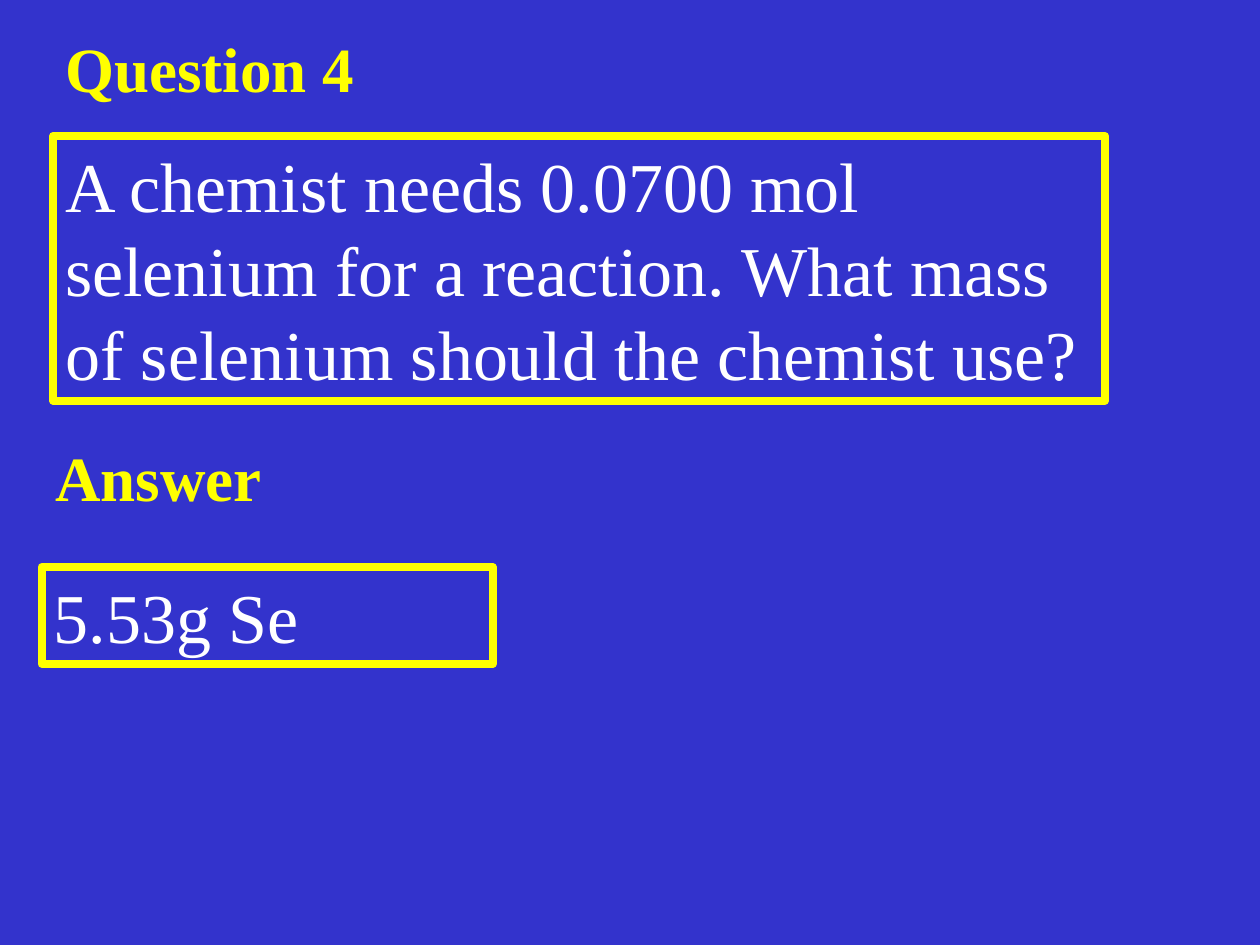
from pptx import Presentation
from pptx.dml.color import RGBColor
from pptx.enum.shapes import MSO_SHAPE
from pptx.enum.text import MSO_ANCHOR, PP_ALIGN
from pptx.util import Inches, Pt

RECTANGLE = MSO_SHAPE.RECTANGLE
TOP = MSO_ANCHOR.TOP
LEFT = PP_ALIGN.LEFT
COLOURS = {"background": "3333CC", "accent": "FFFF00", "body": "FFFFFF"}

deck = Presentation()
deck.slide_width, deck.slide_height = Inches(10), Inches(7.5)
page = deck.slides.add_slide(deck.slide_layouts[6])
page.background.fill.solid()
page.background.fill.fore_color.rgb = RGBColor.from_string(COLOURS["background"])


def write(box, text, colour, wrap, font_format, para_format):
    frame = box.text_frame
    frame.word_wrap = wrap
    frame.vertical_anchor = TOP
    para = frame.paragraphs[0]
    for name, value in para_format.items():
        setattr(para, name, value)
    span = para.add_run()
    span.text = text
    for name, value in font_format.items():
        setattr(span.font, name, value)
    span.font.color.rgb = RGBColor.from_string(COLOURS[colour])


heading_font = {"name": "Times New Roman", "size": Pt(36), "bold": True}
heading_para = {"alignment": LEFT, "line_spacing": 0.9}
body_font = {"name": "Times New Roman", "size": Pt(40), "bold": False}
body_para = {"alignment": LEFT}

sections = [
    ("Question 4", (0.42, 0.25, 2.61, 0.64),
     "A chemist needs 0.0700 mol selenium for a reaction. "
     "What mass of selenium should the chemist use?", (0.42, 1.08, 8.35, 2.1)),
    ("Answer", (0.34, 3.5, 1.84, 0.64),
     "5.53g Se", (0.33, 4.5, 3.58, 0.77)),
]

for heading, heading_place, body, body_place in sections:
    heading_box = page.shapes.add_textbox(*map(Inches, heading_place))
    write(heading_box, heading, "accent", False, heading_font, heading_para)

    body_box = page.shapes.add_shape(RECTANGLE, *map(Inches, body_place))
    body_box.shadow.inherit = False
    body_box.fill.background()
    body_box.line.color.rgb = RGBColor.from_string(COLOURS["accent"])
    body_box.line.width = Pt(4.5)
    write(body_box, body, "body", True, body_font, body_para)

deck.save("out.pptx")
